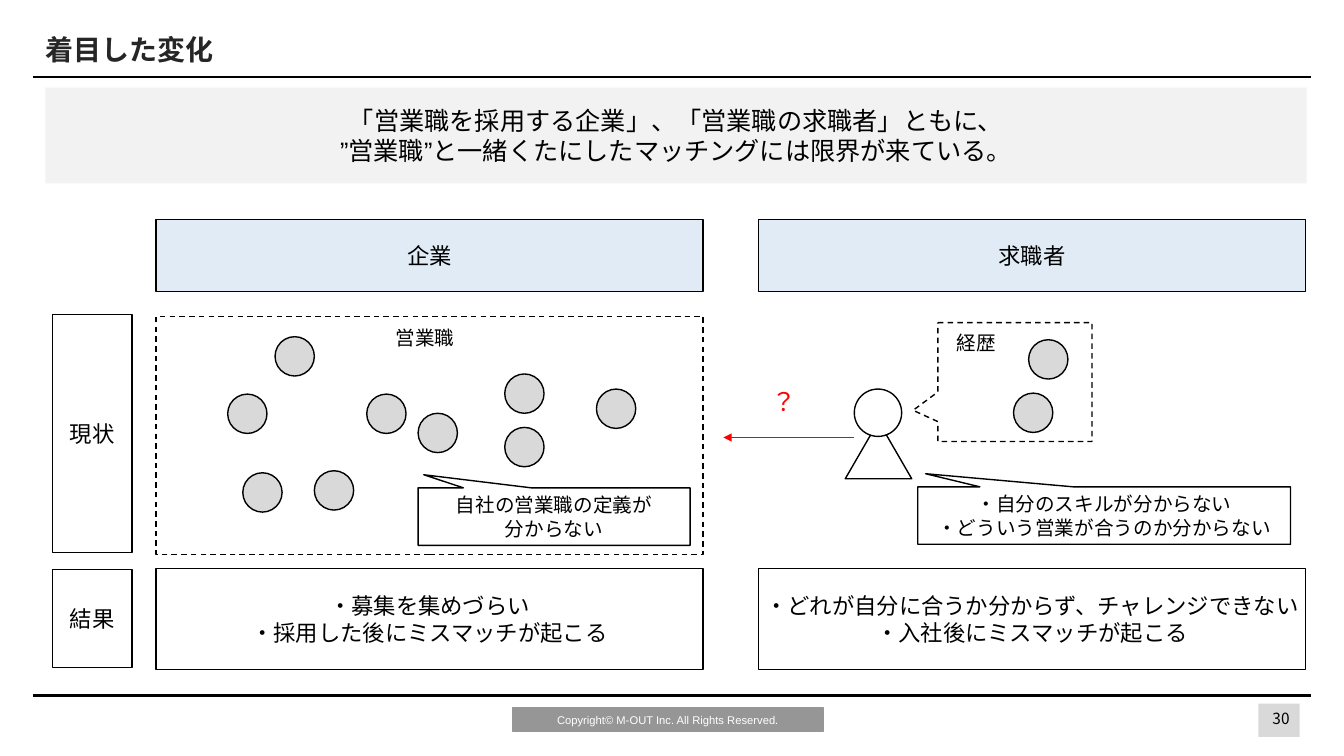
import itertools

import pptx
import pptx.util
import pptx.dml.color
import pptx.enum.dml
import pptx.enum.shapes
import pptx.enum.text
import pptx.oxml
import pptx.oxml.ns

PX = 9144  # EMU per px, 100 px to the inch
FONT = "Noto Sans CJK JP"
LATIN_FONT = "Arial"
COLORS = {
    "black": "000000", "title": "262626", "white": "FFFFFF", "red": "FF0000",
    "dot": "D9D9D9", "message": "F2F2F2", "header": "E0EBF6", "footer": "969696",
}
SHAPE = pptx.enum.shapes.MSO_SHAPE
ALIGN = pptx.enum.text.PP_ALIGN
ANCHOR = pptx.enum.text.MSO_ANCHOR
DASH = pptx.enum.dml.MSO_LINE.DASH
TIGHT = (4, 4)
LOOSE = (10, 5)


def rgb(name):
    return pptx.dml.color.RGBColor.from_string(COLORS[name])


def add_xml(parent, tag, **attrs):
    el = pptx.oxml.parse_xml(f'<a:{tag} {pptx.oxml.ns.nsdecls("a")}/>')
    for key, value in attrs.items():
        el.set(key, value)
    parent.append(el)


def write(tf, text, size=16, color="black", font=FONT, bold=False,
          align=ALIGN.CENTER, anchor=ANCHOR.MIDDLE, inset=TIGHT, wrap=False):
    """Fill a text frame, one paragraph per line; quotes get the narrow Latin font."""
    tf.word_wrap = wrap
    tf.vertical_anchor = anchor
    tf.margin_left = tf.margin_right = inset[0] * PX
    tf.margin_top = tf.margin_bottom = inset[1] * PX
    for i, line in enumerate(text.split("\n")):
        p = tf.add_paragraph() if i else tf.paragraphs[0]
        p.alignment = align
        for is_quote, chars in itertools.groupby(line, lambda c: c == "”"):
            face = LATIN_FONT if is_quote else font
            r = p.add_run()
            r.text = "".join(chars)
            r.font.size = pptx.util.Pt(size)
            r.font.bold = bold
            r.font.color.rgb = rgb(color)
            r.font.name = face
            add_xml(r.font._element, "ea", typeface=face)


class SlideBuilder:
    def __init__(self, slide):
        self.s = slide

    def shape(self, kind, x, y, w, h, fill="white", line="black", dash=None,
              adj=(), text="", **fmt):
        sp = self.s.shapes.add_shape(kind, x * PX, y * PX, w * PX, h * PX)
        sp.shadow.inherit = False
        for i, value in enumerate(adj):
            sp.adjustments[i] = value
        if fill:
            sp.fill.solid()
            sp.fill.fore_color.rgb = rgb(fill)
        else:
            sp.fill.background()
        if line:
            sp.line.color.rgb = rgb(line)
            sp.line.width = pptx.util.Pt(1)
            if dash:
                sp.line.dash_style = dash
        else:
            sp.line.fill.background()
        if text:
            write(sp.text_frame, text, **fmt)

    def box(self, x, y, w, h, text="", **fmt):
        self.shape(SHAPE.RECTANGLE, x, y, w, h, text=text, **fmt)

    def dot(self, x, y, size=39, fill="dot"):
        self.shape(SHAPE.OVAL, x, y, size, size, fill=fill)

    def callout(self, x, y, w, h, text="", adj=(-0.479, -0.728), **fmt):
        self.shape(SHAPE.RECTANGULAR_CALLOUT, x, y, w, h, adj=adj, text=text,
                   size=14, **fmt)

    def label(self, x, y, w, h, text, **fmt):
        tb = self.s.shapes.add_textbox(x * PX, y * PX, w * PX, h * PX)
        write(tb.text_frame, text, **{"inset": LOOSE, "anchor": ANCHOR.TOP,
                                      "wrap": True, **fmt})

    def line(self, x1, y1, x2, y2, color="black", width=1.5, arrow=False):
        cn = self.s.shapes.add_connector(
            pptx.enum.shapes.MSO_CONNECTOR.STRAIGHT,
            x1 * PX, y1 * PX, x2 * PX, y2 * PX)
        cn.line.color.rgb = rgb(color)
        cn.line.width = pptx.util.Pt(width)
        if arrow:
            add_xml(cn.line._get_or_add_ln(), "tailEnd", type="triangle")
        add_xml(cn._element.spPr, "effectLst")


def draw_frame(b):
    """Title, rules, key message and footer."""
    b.label(35, 21, 1000, 55, "着目した変化", size=20, color="title", bold=True,
            align=ALIGN.LEFT, anchor=ANCHOR.MIDDLE)
    for y in (76, 690):
        b.line(33, y, 1301, y)
    b.box(45, 87, 1252, 95,
          "「営業職を採用する企業」、「営業職の求職者」ともに、\n"
          "”営業職”と一緒くたにしたマッチングには限界が来ている。",
          fill="message", line=None, size=18, inset=LOOSE)
    b.box(509, 702, 308, 24, "Copyright© M-OUT Inc. All Rights Reserved.",
          fill="footer", line="footer", size=8, color="white", font=LATIN_FONT,
          inset=LOOSE)
    b.box(1249, 698, 41, 33, fill="dot", line=None)
    b.label(1256, 699, 31, 25, "30", size=11, inset=(0, 5))


def draw_grid(b):
    """Column headers, row headers and results."""
    columns = (
        (155, "企業", "・募集を集めづらい\n・採用した後にミスマッチが起こる"),
        (753, "求職者", "・どれが自分に合うか分からず、チャレンジできない\n"
                        "・入社後にミスマッチが起こる"),
    )
    for x, header, result in columns:
        b.box(x, 218, 543, 71, header, fill="header")
        b.box(x, 564, 543, 100, result)
    for y, h, name in ((312, 236, "現状"), (565, 97, "結果")):
        b.box(52, y, 79, h, name)


def draw_companies(b):
    b.box(155, 314, 543, 236, fill=None, dash=DASH)
    b.label(383, 318, 94, 34, "営業職", size=14, align=ALIGN.LEFT)
    for x, y in ((226, 391), (364, 391), (312, 467), (501, 371), (501, 424),
                 (592, 386), (273, 334), (241, 469), (415, 410)):
        b.dot(x, y)
    b.callout(415, 484, 270, 57, "自社の営業職の定義が\n分からない")


def draw_job_seeker(b):
    b.callout(931, 320, 153, 118, adj=(-0.661, 0.238), dash=DASH)
    b.label(940, 323, 94, 34, "経歴", size=14, align=ALIGN.LEFT)
    for x, y in ((1021, 337), (1006, 390)):
        b.dot(x, y)
    b.shape(SHAPE.ISOSCELES_TRIANGLE, 839, 418, 66, 57)
    b.dot(848, 386, size=47, fill="white")
    b.line(848, 434, 718, 434, color="red", width=1, arrow=True)
    b.label(690, 378, 176, 40, "？", size=18, color="red")
    b.callout(911, 483, 370, 57,
              "・自分のスキルが分からない\n・どういう営業が合うのか分からない")


def main():
    prs = pptx.Presentation()
    prs.slide_width = 1334 * PX
    prs.slide_height = 750 * PX
    b = SlideBuilder(prs.slides.add_slide(prs.slide_layouts[6]))
    draw_frame(b)
    draw_grid(b)
    draw_companies(b)
    draw_job_seeker(b)
    prs.save("out.pptx")


if __name__ == "__main__":
    main()
